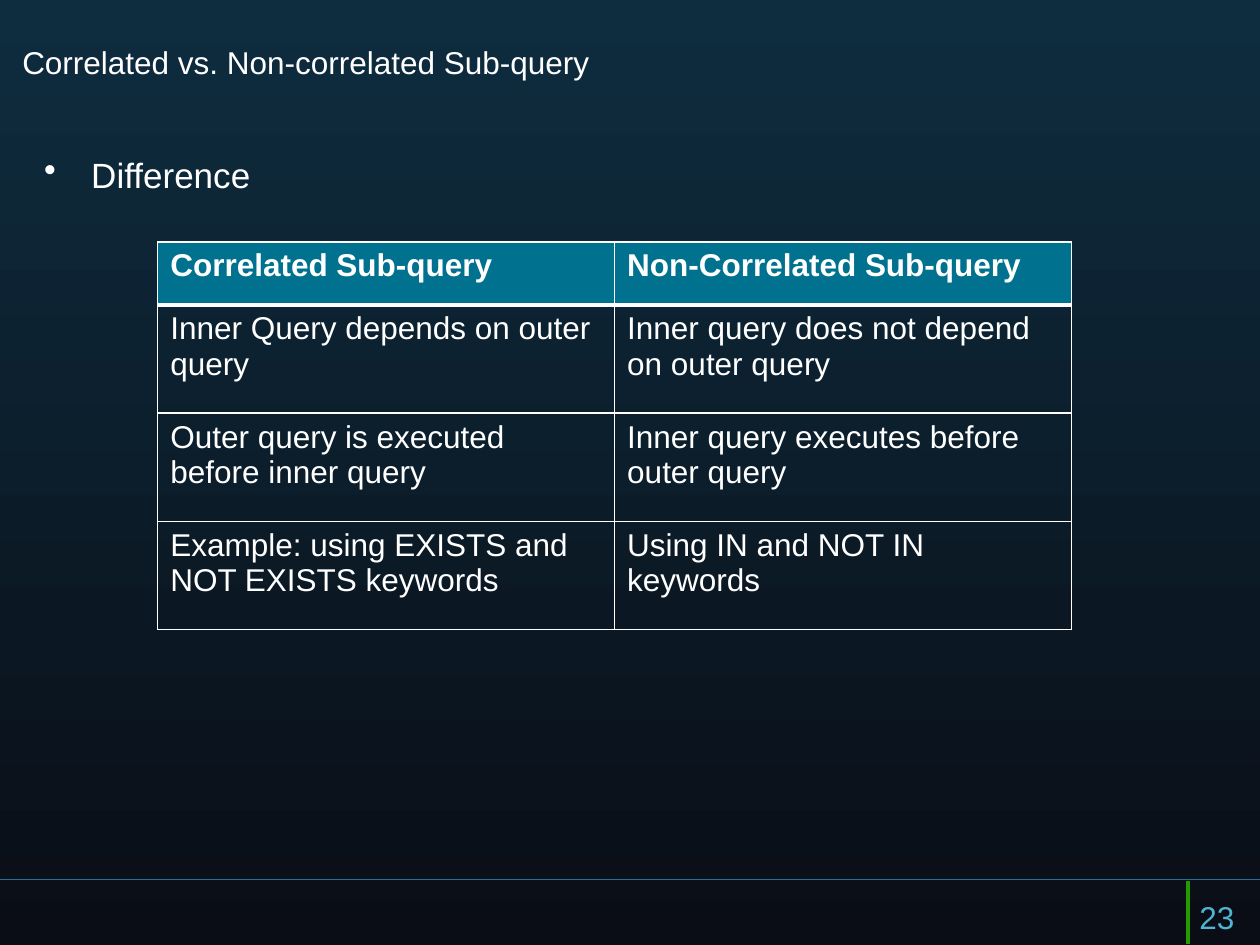
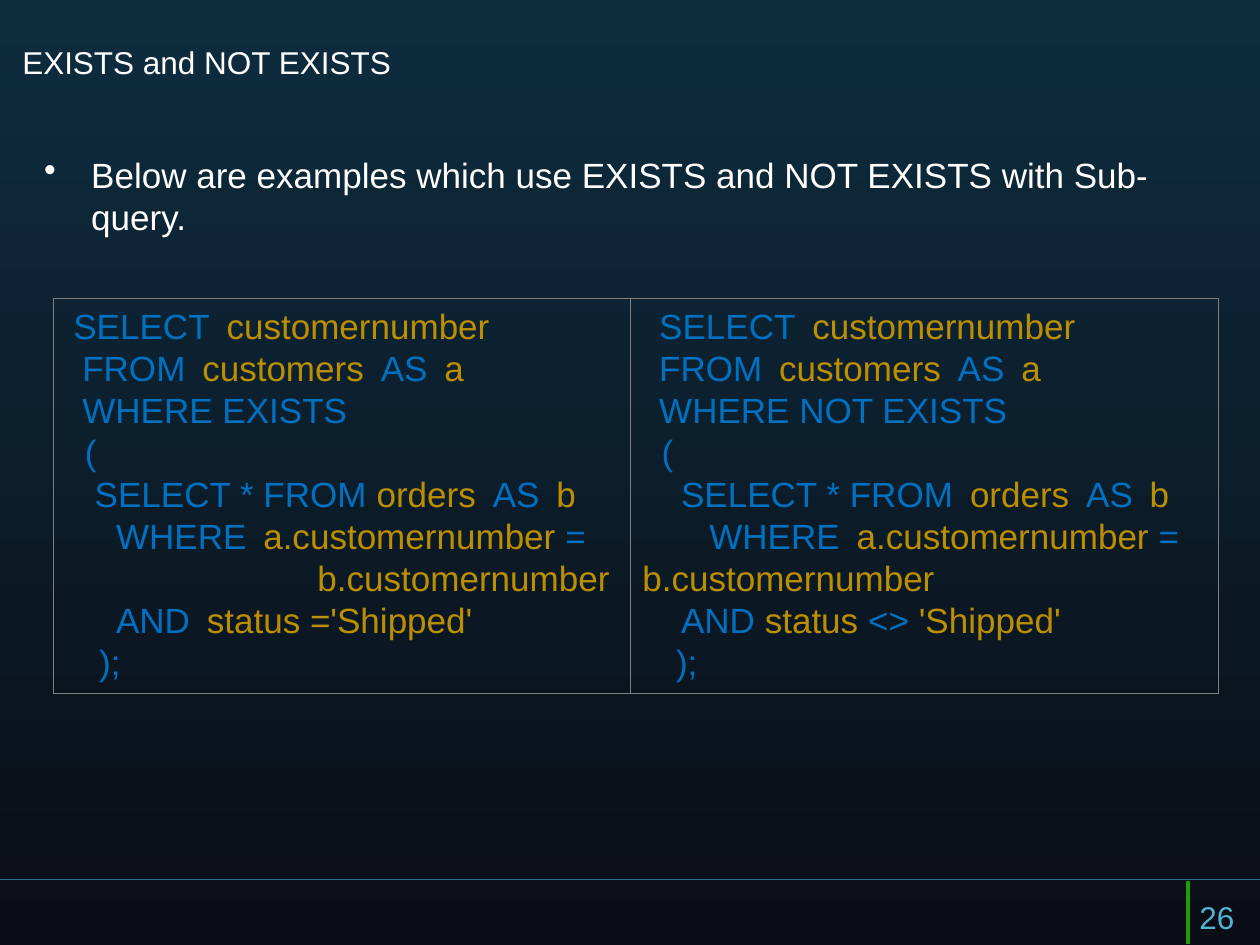
from lxml import etree
from pptx import Presentation
from pptx.dml.color import RGBColor
from pptx.enum.shapes import MSO_CONNECTOR, MSO_SHAPE
from pptx.enum.text import MSO_ANCHOR, PP_ALIGN
from pptx.oxml.ns import qn
from pptx.util import Cm, Pt

STRAIGHT = MSO_CONNECTOR.STRAIGHT
RECTANGLE = MSO_SHAPE.RECTANGLE
TOP, MIDDLE = MSO_ANCHOR.TOP, MSO_ANCHOR.MIDDLE
LEFT = PP_ALIGN.LEFT

WHITE, HEADER_FILL, BOX_LINE = "FFFFFF", "00728F", "808080"
BACKGROUND = ("0E2D3F", "0A0D16")
FOOTER_LINE, FOOTER_BAR, PAGE_COLOR = "287094", "209D03", "50B3CF"

TITLE = {"name": "Arial", "size": Pt(18), "bold": False, "color": WHITE}
HEADER = {**TITLE, "bold": True}
PAGE = {**TITLE, "color": PAGE_COLOR}
BODY = {**TITLE, "size": Pt(20)}
KEYWORD = {**BODY, "color": "0070C0"}
IDENTIFIER = {**BODY, "color": "BC8F00"}
GAP = {**BODY, "name": "Courier New", "size": Pt(16)}

DIFFERENCES = [
    ("Correlated Sub-query", "Non-Correlated Sub-query"),
    ("Inner Query depends on outer query", "Inner query does not depend on outer query"),
    ("Outer query is executed before inner query", "Inner query executes before outer query"),
    ("Example: using EXISTS and NOT EXISTS keywords", "Using IN and NOT IN keywords"),
]
EXISTS_QUERY = [
    (0.16, "SELECT|customernumber"),
    (0.34, "FROM|customers|AS|a"),
    (0.34, "WHERE EXISTS"),
    (0.39, "("),
    (0.59, "SELECT * FROM /orders|AS|b"),
    (1.02, "WHERE|a.customernumber /="),
    (5.08, "/b.customernumber"),
    (1.02, "AND|status ='Shipped'"),
    (0.68, ");"),
]
NOT_EXISTS_QUERY = [
    (0.34, "SELECT|customernumber"),
    (0.34, "FROM|customers|AS|a"),
    (0.34, "WHERE NOT EXISTS"),
    (0.39, "("),
    (0.78, "SELECT * FROM|orders|AS|b"),
    (1.35, "WHERE|a.customernumber /="),
    (0, "/b.customernumber"),
    (0.78, "AND/ status /<>/ 'Shipped'"),
    (0.68, ");"),
]


def rgb(color):
    """Turn a hex string into a colour."""
    return RGBColor.from_string(color)


def add_run(paragraph, text, style):
    """Add a run of text whose font follows the style."""
    run = paragraph.add_run()
    run.text = text
    for name, value in style.items():
        if name == "color":
            run.font.color.rgb = rgb(value)
        else:
            setattr(run.font, name, value)


def indent(paragraph, left, first=0):
    """Set the left margin and first-line indent of a paragraph in centimetres."""
    properties = paragraph._p.get_or_add_pPr()
    properties.set("marL", str(Cm(left)))
    properties.set("indent", str(Cm(first)))
    return properties


def add_code_line(paragraph, line):
    """Alternate keywords and identifiers; a bar adds a gap and a slash does not."""
    styles = (KEYWORD, IDENTIFIER)
    position = 0
    for index, group in enumerate(line.split("|")):
        if index:
            add_run(paragraph, " ", GAP)
        for text in group.split("/"):
            if text:
                add_run(paragraph, text, styles[position % 2])
            position += 1


def set_borders(cell, widths):
    """Draw white cell borders with widths in points for each side."""
    properties = cell._tc.get_or_add_tcPr()
    for index, (side, width) in enumerate(widths.items()):
        border = etree.Element(qn(f"a:ln{side}"), w=str(Pt(width)))
        fill = etree.SubElement(border, qn("a:solidFill"))
        etree.SubElement(fill, qn("a:srgbClr"), val=WHITE)
        properties.insert(index, border)


class Deck:
    """Hold the shared slide style and the current slide."""

    def __init__(self):
        """Start a presentation of 4:3 slides."""
        self.presentation = Presentation()
        self.presentation.slide_width = Cm(25.4)
        self.presentation.slide_height = Cm(19.05)
        self.slide = None

    def add_slide(self, title, bullet, number):
        """Start a slide with its background, footer, title and bullet."""
        self.slide = self.presentation.slides.add_slide(self.presentation.slide_layouts[6])
        fill = self.slide.background.fill
        fill.gradient()
        fill.gradient_angle = 270
        for stop, color in zip(fill.gradient_stops, BACKGROUND):
            stop.color.rgb = rgb(color)
        self.line((25.4, 17.73, 0, 17.73), FOOTER_LINE, 0.75)
        self.line((23.95, 17.75, 23.95, 19.02), FOOTER_BAR, 2)
        self.text((0.2, 0.51, 19.05, 1.47), title, TITLE, MIDDLE)
        paragraph = self.text((0.64, 2.97, 22.86, 1.27), bullet, BODY)
        etree.SubElement(indent(paragraph, 0.95, -0.95), qn("a:buChar"), char="•")
        self.text((23.93, 17.98, 1.47, 1.07), number, PAGE)

    def line(self, ends, color, width):
        """Draw a straight line without a shadow."""
        connector = self.slide.shapes.add_connector(STRAIGHT, *map(Cm, ends))
        connector.line.color.rgb = rgb(color)
        connector.line.width = Pt(width)
        etree.SubElement(connector._element.spPr, qn("a:effectLst"))

    def text(self, place, text, style, anchor=TOP):
        """Add a text box and return its paragraph."""
        frame = self.slide.shapes.add_textbox(*map(Cm, place)).text_frame
        frame.word_wrap = True
        frame.vertical_anchor = anchor
        paragraph = frame.paragraphs[0]
        add_run(paragraph, text, style)
        return paragraph

    def table(self, place, rows, heights):
        """Add a table with a filled header row and white borders."""
        shape = self.slide.shapes.add_table(len(rows), len(rows[0]), *map(Cm, place))
        table = shape.table
        table.horz_banding = False
        for row_index, (texts, height) in enumerate(zip(rows, heights)):
            table.rows[row_index].height = Cm(height)
            header = row_index == 0
            top, bottom = 3 if row_index == 1 else 1, 3 if header else 1
            for column, text in enumerate(texts):
                cell = table.cell(row_index, column)
                add_run(cell.text_frame.paragraphs[0], text, HEADER if header else TITLE)
                if header:
                    cell.fill.solid()
                    cell.fill.fore_color.rgb = rgb(HEADER_FILL)
                else:
                    cell.fill.background()
                set_borders(cell, {"L": 1, "R": 1, "T": top, "B": bottom})

    def code_box(self, place, lines):
        """Add an outlined box of coloured code lines."""
        shape = self.slide.shapes.add_shape(RECTANGLE, *map(Cm, place))
        shape.shadow.inherit = False
        shape.fill.background()
        shape.line.color.rgb = rgb(BOX_LINE)
        shape.line.width = Pt(0.25)
        frame = shape.text_frame
        frame.word_wrap = True
        frame.vertical_anchor = TOP
        for index, (left, line) in enumerate(lines):
            paragraph = frame.add_paragraph() if index else frame.paragraphs[0]
            paragraph.alignment = LEFT
            indent(paragraph, left)
            add_code_line(paragraph, line)


def main():
    """Build both slides and save them."""
    deck = Deck()
    deck.add_slide("Correlated vs. Non-correlated Sub-query", "Difference", "23")
    deck.table((3.18, 4.88, 18.42, 7.82), DIFFERENCES, (1.27, 2.18, 2.18, 2.18))
    deck.add_slide(
        "EXISTS and NOT EXISTS",
        "Below are examples which use EXISTS and NOT EXISTS with Sub-query.",
        "26",
    )
    deck.code_box((12.7, 6.02, 11.86, 7.95), NOT_EXISTS_QUERY)
    deck.code_box((1.07, 6.02, 11.63, 7.95), EXISTS_QUERY)
    deck.presentation.save("out.pptx")


if __name__ == "__main__":
    main()
